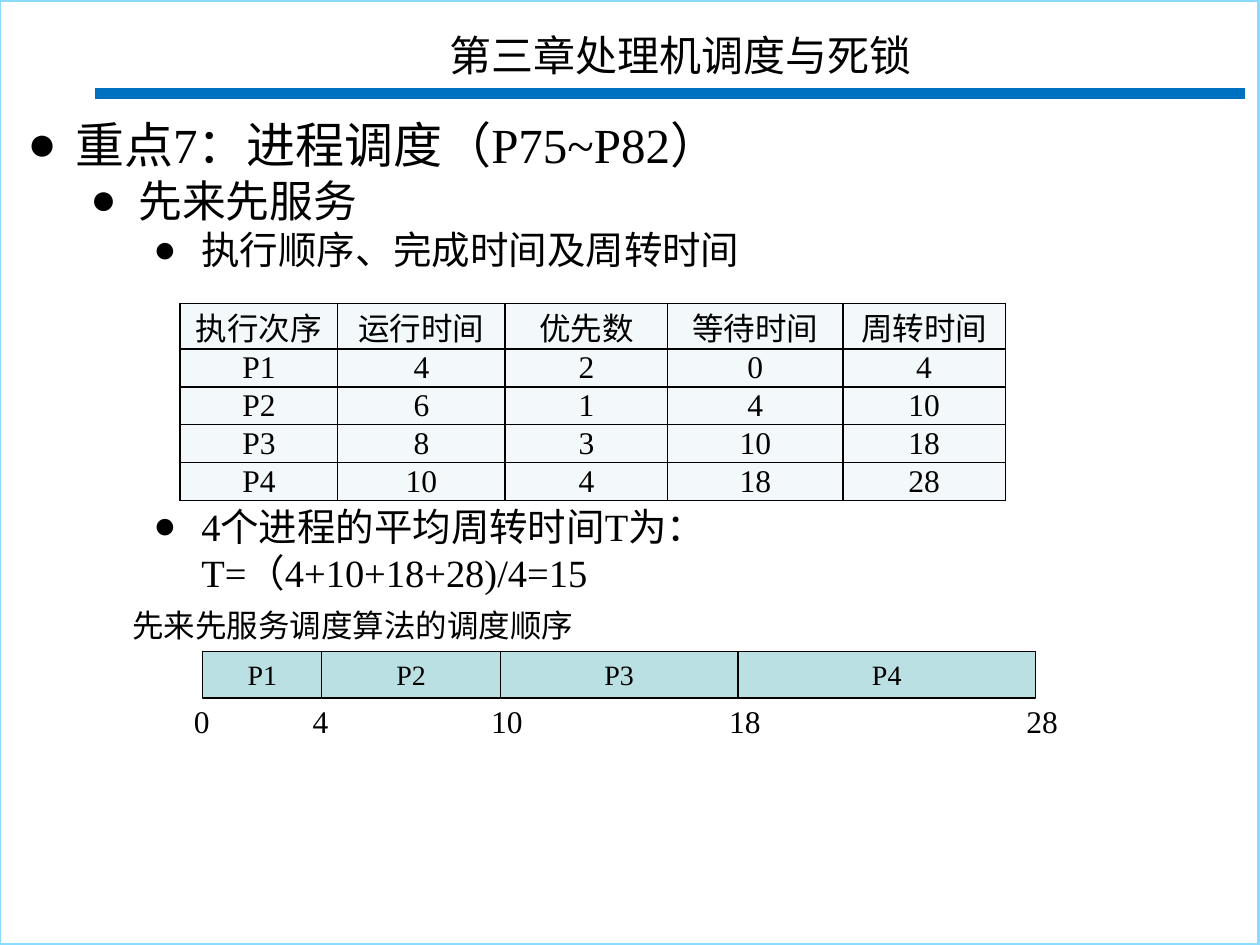
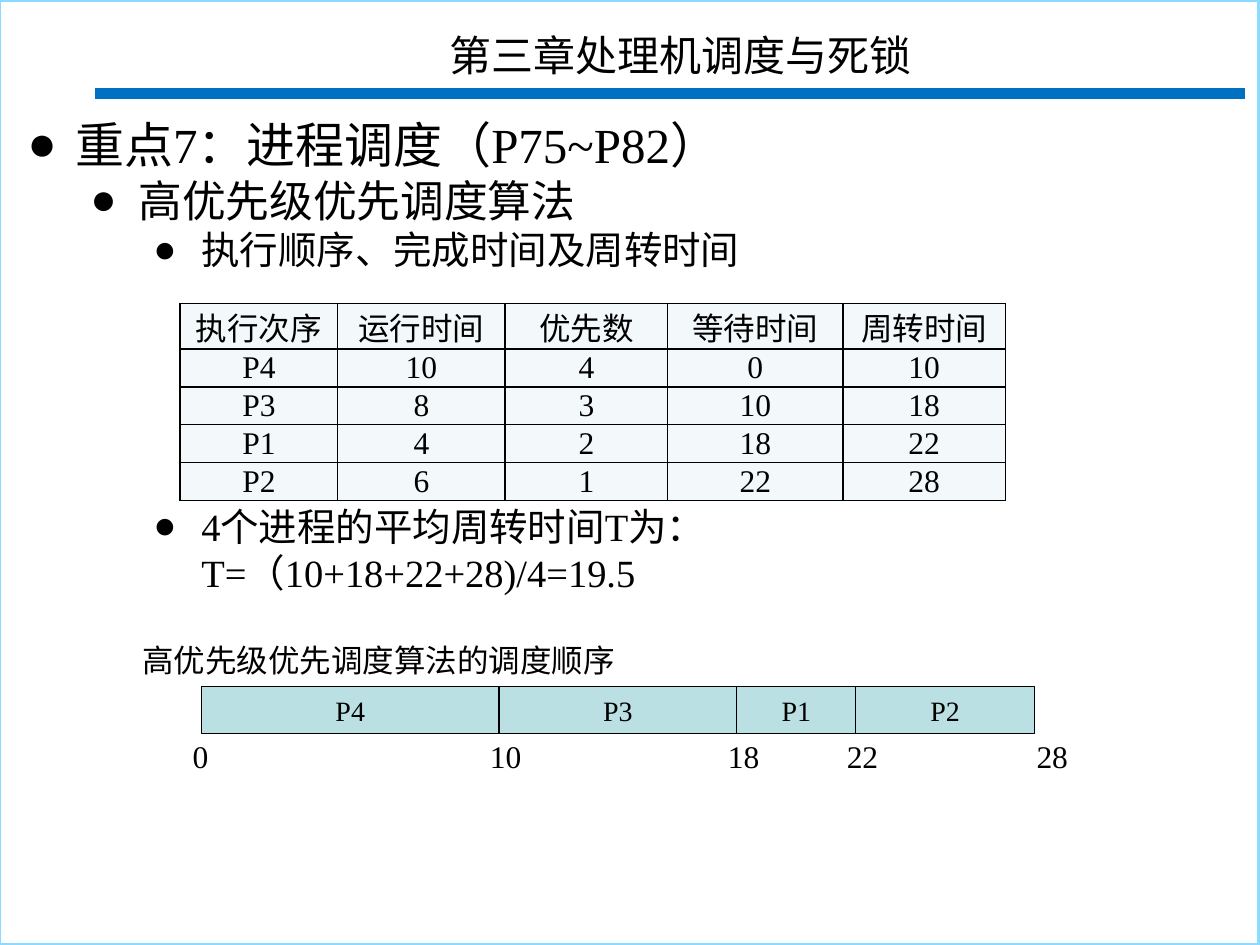
from itertools import accumulate

from lxml.etree import SubElement
from pptx import Presentation
from pptx.dml.color import RGBColor
from pptx.enum.shapes import MSO_CONNECTOR, MSO_SHAPE
from pptx.enum.text import MSO_ANCHOR, MSO_AUTO_SIZE, PP_ALIGN
from pptx.oxml.ns import qn
from pptx.util import Inches, Pt

FONT = "Times New Roman"
BLACK = RGBColor(0x00, 0x00, 0x00)
FRAME_BLUE = RGBColor(0x8A, 0xDB, 0xFF)
RULE_BLUE = RGBColor(0x00, 0x70, 0xC0)
CELL_TINT = RGBColor(0xF3, 0xF9, 0xFA)
BAR_TEAL = RGBColor(0xBB, 0xE0, 0xE3)

CHAPTER = "第三章处理机调度与死锁"
TOPIC = "重点7：进程调度（P75~P82）"
HEADERS = ["执行次序", "运行时间", "优先数", "等待时间", "周转时间"]
COLUMN_WIDTHS = [1.25, 1.33, 1.29, 1.39, 1.29]
JOBS = {"P1": (4, 2), "P2": (6, 1), "P3": (8, 3), "P4": (10, 4)}
UNIT_WIDTH = 0.236


def box(left, top, width, height):
    return [Inches(length) for length in (left, top, width, height)]


def write(paragraph, text, size=18, align=PP_ALIGN.LEFT, spacing=None, before=0):
    paragraph.alignment = align
    paragraph.space_before = Pt(before)
    if spacing:
        paragraph.line_spacing = spacing
    run = paragraph.add_run()
    run.text = text
    run.font.name = FONT
    run.font.size = Pt(size)
    run.font.color.rgb = BLACK


def indent(paragraph, level, bullet=True):
    properties = paragraph._p.get_or_add_pPr()
    paragraph.level = level
    properties.set("marL", str(Inches(0.38 + 0.5 * level)))
    properties.set("indent", str(Inches(-0.38) if bullet else 0))
    if bullet:
        SubElement(properties, qn("a:buFont"), typeface=FONT)
        SubElement(properties, qn("a:buChar"), char="●")
    else:
        SubElement(properties, qn("a:buNone"))


def add_label(slide, text, left, top, width):
    frame = slide.shapes.add_textbox(*box(left, top, width, 0.4)).text_frame
    frame.word_wrap = False
    write(frame.paragraphs[0], text)


def add_block(slide, place, line_color, line_width, fill=None):
    block = slide.shapes.add_shape(MSO_SHAPE.RECTANGLE, *place)
    block.shadow.inherit = False
    block.line.color.rgb = line_color
    block.line.width = Pt(line_width)
    if fill is None:
        block.fill.background()
    else:
        block.fill.solid()
        block.fill.fore_color.rgb = fill
    return block


def start_slide(deck):
    slide = deck.slides.add_slide(deck.slide_layouts[5])
    add_block(slide, box(-0.01, 0, 10, 7.5), FRAME_BLUE, 2.25)
    rule = slide.shapes.add_connector(
        MSO_CONNECTOR.STRAIGHT, Inches(0.75), Inches(0.74), Inches(9.88), Inches(0.74)
    )
    rule.line.color.rgb = RULE_BLUE
    rule.line.width = Pt(6.25)
    SubElement(rule._element.spPr, qn("a:effectLst"))
    title = slide.shapes.title
    title.left, title.top, title.width, title.height = box(0.91, 0.06, 8.98, 0.63)
    title.text_frame.auto_size = MSO_AUTO_SIZE.NONE
    title.text_frame.vertical_anchor = MSO_ANCHOR.MIDDLE
    write(title.text_frame.paragraphs[0], CHAPTER, size=24, align=PP_ALIGN.CENTER, spacing=1.3)
    return slide


def add_outline(slide, method, turnarounds):
    frame = slide.shapes.add_textbox(*box(0.12, 0.83, 9.76, 6.23)).text_frame
    frame.word_wrap = True
    total = "+".join(str(turnaround) for turnaround in turnarounds)
    average = sum(turnarounds) / len(turnarounds)
    points = [
        (TOPIC, 0, 28, 36, 0, True),
        (method, 1, 25, 30, 0, True),
        ("执行顺序、完成时间及周转时间", 2, 22, 26.5, 0, True),
        ("4个进程的平均周转时间T为：", 2, 22, 26.5, 131.5, True),
        (f"T=（{total})/{len(turnarounds)}={average:g}", 2, 22, 26.5, 0, False),
    ]
    for number, (text, level, size, pitch, before, bullet) in enumerate(points):
        paragraph = frame.add_paragraph() if number else frame.paragraphs[0]
        write(paragraph, text, size=size, spacing=Pt(pitch), before=before)
        indent(paragraph, level, bullet)


def add_borders(cell):
    properties = cell._tc.get_or_add_tcPr()
    for position, side in enumerate(("a:lnL", "a:lnR", "a:lnT", "a:lnB")):
        border = SubElement(properties, qn(side), w=str(Pt(1)))
        fill = SubElement(border, qn("a:solidFill"))
        SubElement(fill, qn("a:srgbClr"), val=str(BLACK))
        properties.insert(position, border)


def add_schedule_table(slide, rows):
    grid = [HEADERS] + rows
    table = slide.shapes.add_table(
        len(grid), len(HEADERS), *box(1.43, 2.41, sum(COLUMN_WIDTHS), 1.48)
    ).table
    for column, width in zip(table.columns, COLUMN_WIDTHS):
        column.width = Inches(width)
    for r, values in enumerate(grid):
        table.rows[r].height = Inches(0.28 if r else 0.36)
        for c, value in enumerate(values):
            cell = table.cell(r, c)
            cell.margin_left = cell.margin_right = Inches(0.09)
            cell.margin_top = cell.margin_bottom = 0
            cell.vertical_anchor = MSO_ANCHOR.MIDDLE
            cell.fill.solid()
            cell.fill.fore_color.rgb = CELL_TINT
            add_borders(cell)
            write(cell.text_frame.paragraphs[0], str(value), align=PP_ALIGN.CENTER)


def add_timeline(slide, order, times, left, top, last_shift):
    for job, start, finish in zip(order, times, times[1:]):
        place = box(left + start * UNIT_WIDTH, top, (finish - start) * UNIT_WIDTH, 0.37)
        frame = add_block(slide, place, BLACK, 0.75, BAR_TEAL).text_frame
        frame.vertical_anchor = MSO_ANCHOR.MIDDLE
        write(frame.paragraphs[0], job, size=16, align=PP_ALIGN.CENTER)
    for time in times:
        shift = last_shift if time == times[-1] else 0
        tick_left = left + time * UNIT_WIDTH - 0.17 + shift
        add_label(slide, str(time), tick_left, top + 0.35, 0.45 if time > 9 else 0.33)


def add_schedule_slide(deck, method, order, caption_left, bar_left, bar_top, last_shift=0):
    times = [0, *accumulate(JOBS[job][0] for job in order)]
    rows = [[job, *JOBS[job], start, finish]
            for job, start, finish in zip(order, times, times[1:])]
    slide = start_slide(deck)
    add_outline(slide, method, times[1:])
    add_schedule_table(slide, rows)
    algorithm = method if method.endswith("调度算法") else method + "调度算法"
    add_label(slide, algorithm + "的调度顺序", caption_left, bar_top - 0.41, 3.99)
    add_timeline(slide, order, times, bar_left, bar_top, last_shift)


def main():
    deck = Presentation()
    deck.slide_width, deck.slide_height = Inches(10), Inches(7.5)
    by_arrival = list(JOBS)
    by_priority = sorted(JOBS, key=lambda job: JOBS[job][1], reverse=True)
    add_schedule_slide(deck, "先来先服务", by_arrival, 0.95, 1.61, 5.17)
    add_schedule_slide(deck, "高优先级优先调度算法", by_priority, 1.03, 1.6, 5.45, last_shift=0.09)
    deck.save("out.pptx")


if __name__ == "__main__":
    main()
